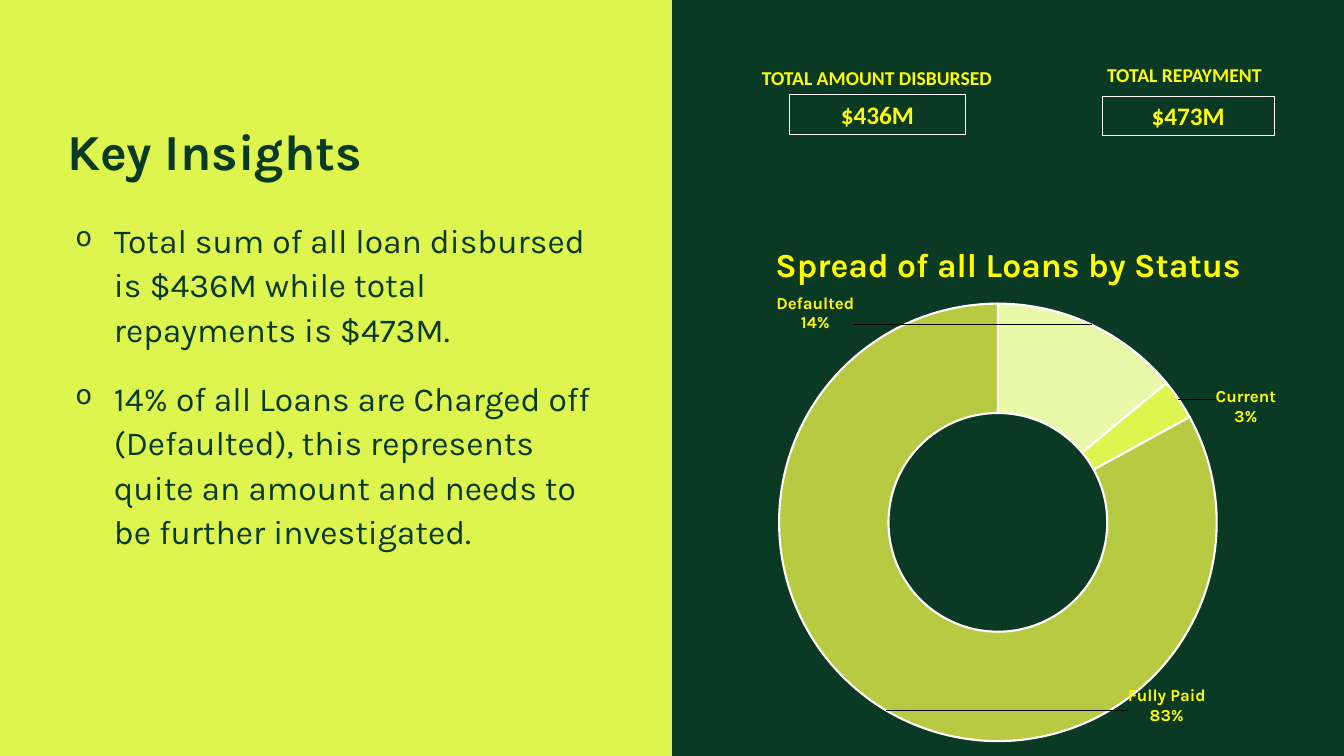
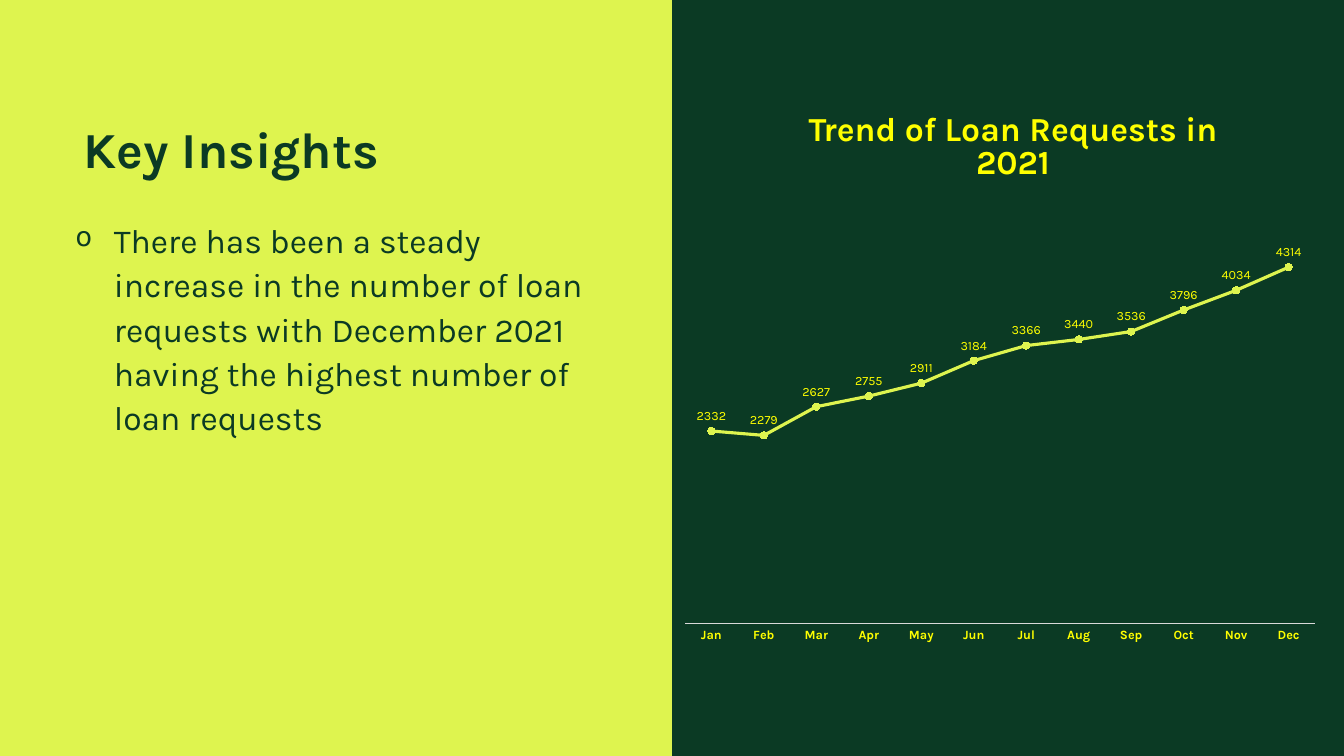
from dataclasses import dataclass

from lxml import etree
from pptx import Presentation
from pptx.chart.chart import Chart
from pptx.chart.data import CategoryChartData
from pptx.dml.color import RGBColor
from pptx.enum.chart import XL_CHART_TYPE, XL_LABEL_POSITION, XL_MARKER_STYLE, XL_TICK_MARK
from pptx.enum.shapes import MSO_SHAPE
from pptx.enum.text import MSO_ANCHOR, PP_ALIGN
from pptx.oxml.ns import qn
from pptx.shapes.autoshape import Shape
from pptx.slide import Slide
from pptx.util import Inches, Length, Pt

DOUGHNUT, LINE = XL_CHART_TYPE.DOUGHNUT, XL_CHART_TYPE.LINE_MARKERS_STACKED
ABOVE = XL_LABEL_POSITION.ABOVE
CIRCLE = XL_MARKER_STYLE.CIRCLE
NO_TICKS = XL_TICK_MARK.NONE
RECTANGLE, ELLIPSE = MSO_SHAPE.RECTANGLE, MSO_SHAPE.OVAL
TOP, MIDDLE = MSO_ANCHOR.TOP, MSO_ANCHOR.MIDDLE
LEFT, CENTER = PP_ALIGN.LEFT, PP_ALIGN.CENTER
BLANK_LAYOUT = 6
COLUMNS, ROWS = 16, 9
SLIDE_WIDTH, SLIDE_HEIGHT = Inches(13.33), Inches(7.5)


@dataclass(frozen=True)
class Theme:
    green: str = "0B3A24"
    lime: str = "DEF44F"
    pale_lime: str = "EAF8AA"
    olive: str = "B8CA42"
    yellow: str = "FFFF00"
    white: str = "FFFFFF"
    axis: str = "D9D9D9"
    font: str = "Karla"
    figure_font: str = "Calibri"
    title_size: float = 36
    body_size: float = 24
    figure_size: float = 18
    caption_size: float = 14
    slice_size: float = 12
    point_size: float = 9


THEME = Theme()


@dataclass(frozen=True)
class Box:
    """Place and size in columns and rows of the slide grid."""
    column: float
    row: float
    columns: float
    rows: float

    def lengths(self) -> tuple[Length, Length, Length, Length]:
        column_width, row_height = SLIDE_WIDTH / COLUMNS, SLIDE_HEIGHT / ROWS
        return (Length(self.column * column_width), Length(self.row * row_height),
                Length(self.columns * column_width), Length(self.rows * row_height))


@dataclass(frozen=True)
class TextStyle:
    size: float
    color: str = THEME.yellow
    font: str = THEME.font
    bold: bool = True
    align: PP_ALIGN = CENTER
    anchor: MSO_ANCHOR = TOP
    line_spacing: float = 1.0
    space_before: float = 0
    wrap: bool = True
    inset: bool = True
    bullet: bool = False


@dataclass(frozen=True)
class Figure:
    caption: str
    amount: str
    caption_box: Box
    amount_box: Box


@dataclass(frozen=True)
class Slice:
    """A doughnut slice; shifts move its label by shares of the chart's size."""
    name: str
    percent: int
    color: str
    shift_x: float
    shift_y: float


TITLE = TextStyle(THEME.title_size, THEME.green, align=LEFT, anchor=MIDDLE,
                  line_spacing=0.9, inset=False)
BODY = TextStyle(THEME.body_size, THEME.green, bold=False, align=LEFT, line_spacing=1.1,
                 space_before=18, inset=False, bullet=True)
HEADING = TextStyle(THEME.body_size)
TREND_HEADING = TextStyle(THEME.body_size, line_spacing=0.8, space_before=18)
CAPTION = TextStyle(THEME.caption_size, font=THEME.figure_font, anchor=MIDDLE, wrap=False)
AMOUNT = TextStyle(THEME.figure_size, font=THEME.figure_font, anchor=MIDDLE, wrap=False)

PANEL_BOX = Box(0, 0, COLUMNS / 2, ROWS)
BODY_BOX = Box(0.9, 2.57, 6.3, 5.35)

FIGURES = (
    Figure("TOTAL AMOUNT DISBURSED", "$436M", Box(8.86, 0.77, 3.16, 0.31), Box(9.4, 1.12, 2.09, 0.48)),
    Figure("TOTAL REPAYMENT", "$473M", Box(12.92, 0.74, 2.36, 0.3), Box(13.12, 1.15, 2.05, 0.46)),
)
SLICES = (
    Slice("Defaulted", 14, THEME.pale_lime, -0.45, -0.13),
    Slice("Current", 3, THEME.lime, 0.2, -0.05),
    Slice("Fully Paid", 83, THEME.olive, 0.45, 0.09),
)
REQUESTS = {
    "Jan": 2332, "Feb": 2279, "Mar": 2627, "Apr": 2755, "May": 2911, "Jun": 3184,
    "Jul": 3366, "Aug": 3440, "Sep": 3536, "Oct": 3796, "Nov": 4034, "Dec": 4314,
}


def rgb(color: str) -> RGBColor:
    return RGBColor.from_string(color)


def style_font(font, size: float, color: str, name: str = THEME.font, bold: bool = False) -> None:
    font.size, font.name, font.bold = Pt(size), name, bold
    font.color.rgb = rgb(color)


def add_child(parent, tag: str, **attributes: str):
    return etree.SubElement(parent, qn(tag), attributes)


def add_bullet(paragraph, color: str) -> None:
    properties = paragraph._p.get_or_add_pPr()
    indent = Inches(0.38)
    properties.set("marL", str(indent))
    properties.set("indent", str(-indent))
    add_child(add_child(properties, "a:buClr"), "a:srgbClr", val=color)
    add_child(properties, "a:buSzPct", val="80000")
    add_child(properties, "a:buChar", char="o")


def write(shape: Shape, text: str, style: TextStyle) -> None:
    frame = shape.text_frame
    frame.text = text
    frame.word_wrap = style.wrap
    frame.vertical_anchor = style.anchor
    if not style.inset:
        frame.margin_left = frame.margin_right = frame.margin_top = frame.margin_bottom = 0
    for paragraph in frame.paragraphs:
        paragraph.alignment = style.align
        paragraph.line_spacing = style.line_spacing
        paragraph.space_before = Pt(style.space_before)
        if style.bullet:
            add_bullet(paragraph, style.color)
        for run in paragraph.runs:
            style_font(run.font, style.size, style.color, style.font, style.bold)


def add_text(slide: Slide, box: Box, text: str, style: TextStyle) -> None:
    write(slide.shapes.add_textbox(*box.lengths()), text, style)


def add_shape(slide: Slide, kind: MSO_SHAPE, box: Box, fill: str = "", line: str = "") -> Shape:
    """Add a preset shape; an empty colour means no fill or no line."""
    shape = slide.shapes.add_shape(kind, *box.lengths())
    shape.shadow.inherit = False
    for part, color in ((shape.fill, fill), (shape.line.fill, line)):
        if color:
            part.solid()
            part.fore_color.rgb = rgb(color)
        else:
            part.background()
    if line:
        shape.line.width = Pt(0.75)
    return shape


def add_insight_slide(presentation, title_box: Box, insights: str) -> Slide:
    """Add the split slide with its lime panel, title and bulleted insights."""
    slide = presentation.slides.add_slide(presentation.slide_layouts[BLANK_LAYOUT])
    slide.background.fill.solid()
    slide.background.fill.fore_color.rgb = rgb(THEME.green)
    add_shape(slide, RECTANGLE, PANEL_BOX, fill=THEME.lime)
    add_text(slide, title_box, "Key Insights", TITLE)
    add_text(slide, BODY_BOX, insights, BODY)
    return slide


def manual_layout(**settings: str):
    layout = etree.Element(qn("c:layout"))
    manual = add_child(layout, "c:manualLayout")
    for name, value in settings.items():
        add_child(manual, f"c:{name}", val=value)
    return layout


def add_chart(slide: Slide, kind: XL_CHART_TYPE, box: Box, values: dict[str, int],
              plot_share: tuple[float, float, float, float]) -> Chart:
    """Add a one-series chart whose plot takes the given share of its frame."""
    data = CategoryChartData()
    data.categories = list(values)
    data.add_series("Series 1", list(values.values()))
    chart = slide.shapes.add_chart(kind, *box.lengths(), data).chart
    chart.has_title = chart.has_legend = False
    style_font(chart.font, THEME.point_size, THEME.yellow)
    plot_area = chart._chartSpace.find(".//" + qn("c:plotArea"))
    for layout in plot_area.findall(qn("c:layout")):
        plot_area.remove(layout)
    x, y, width, height = map(str, plot_share)
    plot_area.insert(0, manual_layout(layoutTarget="inner", xMode="edge", yMode="edge",
                                      x=x, y=y, w=width, h=height))
    return chart


def add_status_doughnut(slide: Slide, box: Box) -> None:
    values = {part.name: part.percent for part in SLICES}
    chart = add_chart(slide, DOUGHNUT, box, values, (0.11, 0.03, 0.78, 0.94))
    series = chart.plots[0].series[0]
    labels = series.data_labels
    labels.show_value, labels.show_percentage = False, True
    style_font(labels.font, THEME.slice_size, THEME.yellow, bold=True)
    for index, part in enumerate(SLICES):
        point = series.points[index]
        point.format.fill.solid()
        point.format.fill.fore_color.rgb = rgb(part.color)
        point.format.line.color.rgb = rgb(THEME.white)
        point.format.line.width = Pt(1.5)
        style_font(point.data_label.font, THEME.slice_size, THEME.yellow, bold=True)
    for part, label in zip(SLICES, series._element.findall(".//" + qn("c:dLbl"))):
        label.insert(1, manual_layout(x=str(part.shift_x), y=str(part.shift_y)))
        for flag, value in (("showVal", "0"), ("showCatName", "1"), ("showPercent", "1")):
            label.find(qn(f"c:{flag}")).set("val", value)
        add_child(label, "c:separator").text = "\n"


def add_request_line(slide: Slide, box: Box) -> None:
    chart = add_chart(slide, LINE, box, REQUESTS, (0.02, 0.02, 0.96, 0.92))
    value_axis, category_axis = chart.value_axis, chart.category_axis
    value_axis.minimum_scale, value_axis.maximum_scale = 0, 5000
    value_axis.has_major_gridlines = value_axis.visible = False
    category_axis.major_tick_mark = category_axis.minor_tick_mark = NO_TICKS
    category_axis.format.line.color.rgb = rgb(THEME.axis)
    category_axis.format.line.width = Pt(0.75)
    style_font(category_axis.tick_labels.font, THEME.point_size, THEME.yellow, bold=True)

    series = chart.plots[0].series[0]
    series.smooth = False
    series.format.line.color.rgb = rgb(THEME.lime)
    series.format.line.width = Pt(2.25)
    marker = series.marker
    marker.style, marker.size = CIRCLE, 5
    marker.format.fill.solid()
    marker.format.fill.fore_color.rgb = rgb(THEME.lime)
    marker.format.line.color.rgb = rgb(THEME.lime)
    labels = series.data_labels
    labels.show_value, labels.position = True, ABOVE
    style_font(labels.font, THEME.point_size, THEME.yellow)


def build_status_slide(presentation) -> None:
    slide = add_insight_slide(
        presentation, Box(0.8, 1.07, 6.3, 1.54),
        "Total sum of all loan disbursed is $436M while total repayments is $473M.\n"
        "14% of all Loans are Charged off (Defaulted), this represents quite an amount "
        "and needs to be further investigated.")
    add_status_doughnut(slide, Box(8.54, 3.44, 6.68, 5.56))
    add_text(slide, Box(8, 2.84, 8, 0.6), "Spread of all Loans by Status", HEADING)
    for figure in FIGURES:
        add_text(slide, figure.caption_box, figure.caption, CAPTION)
        frame = add_shape(slide, RECTANGLE, figure.amount_box, line=THEME.white)
        write(frame, figure.amount, AMOUNT)


def build_trend_slide(presentation) -> None:
    slide = add_insight_slide(
        presentation, Box(1, 1.04, 6.3, 1.54),
        "There has been a steady increase in the number of loan requests with "
        "December 2021 having the highest number of loan requests")
    add_request_line(slide, Box(8, 2.4, 7.81, 5.35))
    heading = add_shape(slide, ELLIPSE, Box(8.3, 1.14, 7.52, 1.26))
    write(heading, "Trend of Loan Requests in 2021", TREND_HEADING)


def main() -> None:
    presentation = Presentation()
    presentation.slide_width, presentation.slide_height = SLIDE_WIDTH, SLIDE_HEIGHT
    build_status_slide(presentation)
    build_trend_slide(presentation)
    presentation.save("out.pptx")


if __name__ == "__main__":
    main()
